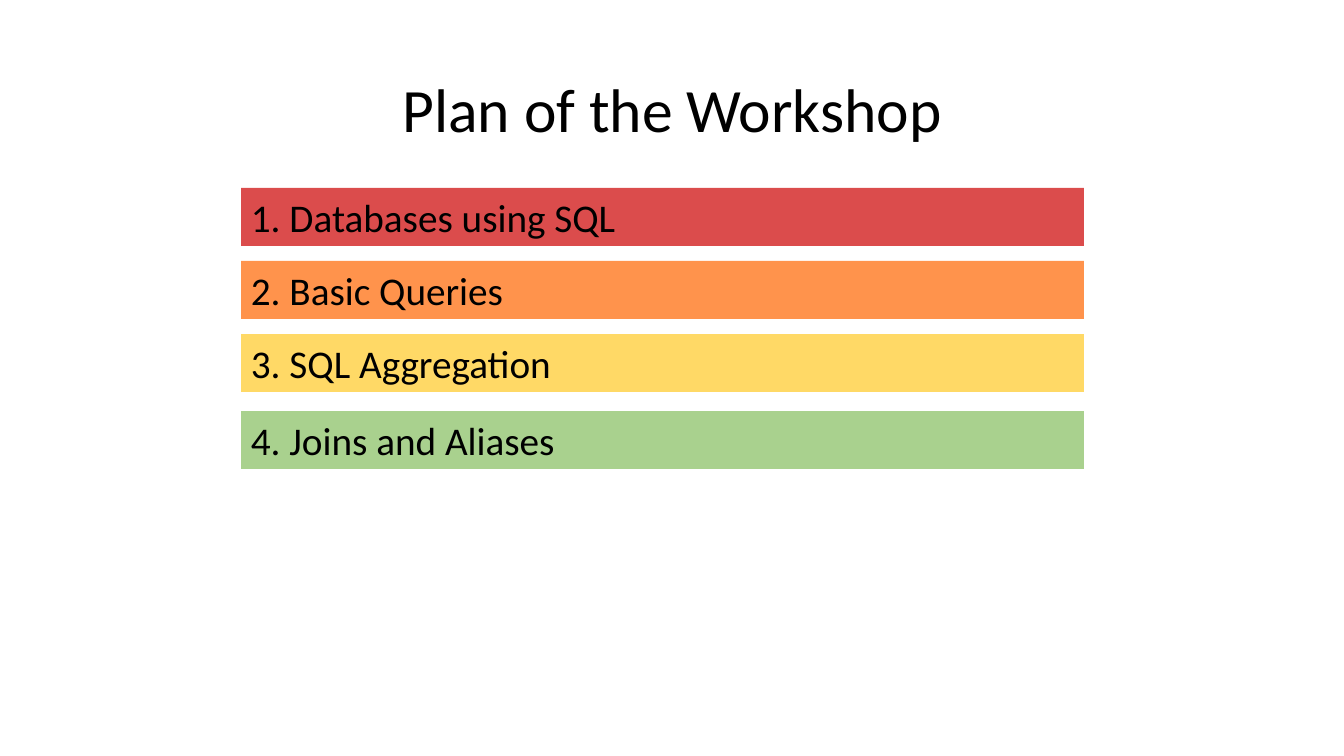
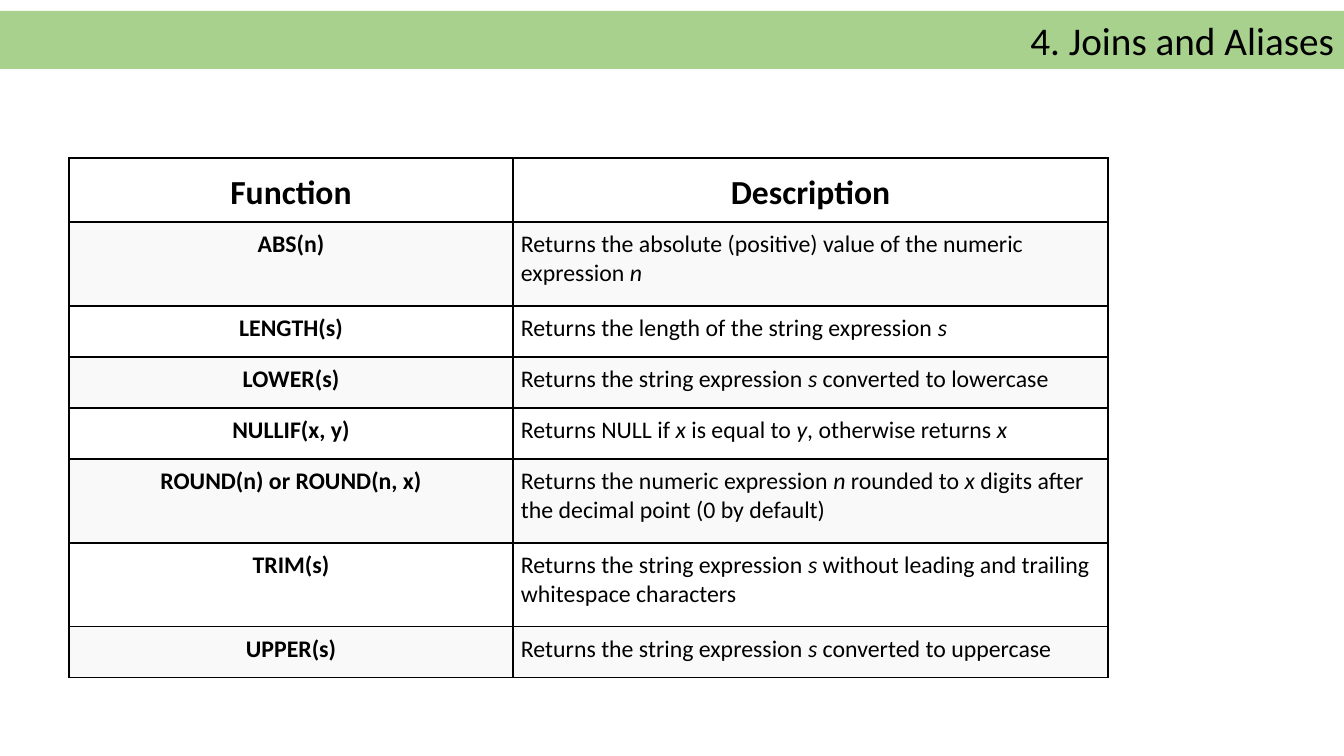
from pptx import Presentation
from pptx.dml.color import RGBColor
from pptx.enum.shapes import MSO_SHAPE
from pptx.enum.text import MSO_ANCHOR, MSO_AUTO_SIZE, PP_ALIGN
from pptx.oxml import parse_xml
from pptx.oxml.ns import nsdecls
from pptx.util import Pt
from lxml import etree

RECT = MSO_SHAPE.RECTANGLE
LEFT, MID, RIGHT = PP_ALIGN.LEFT, PP_ALIGN.CENTER, PP_ALIGN.RIGHT
TOP, CENTER, BASE = MSO_ANCHOR.TOP, MSO_ANCHOR.MIDDLE, MSO_ANCHOR.BOTTOM
FIXED = MSO_AUTO_SIZE.NONE

# Shared look
PX = 91440000 // 10080  # 100.8 px to the inch
FONT, BLACK, WHITE, GREY, GREEN = "Calibri", "000000", "FFFFFF", "F9F9F9", "A9D18E"
BAR = 58
JOINS = "4. Joins and Aliases"


def fill(obj, color, alpha=100):
    obj.fill.solid()
    obj.fill.fore_color.rgb = RGBColor.from_string(color)
    if alpha < 100:
        tint = obj.fill._xPr.find(".//{*}srgbClr")
        etree.SubElement(tint, tint.tag.replace("srgbClr", "alpha"), val=str(alpha * 1000))


def write(frame, text, size=28, align=LEFT, anchor=TOP, bold=False, space=1.0):
    """Write one paragraph; parts between asterisks are italic."""
    frame.word_wrap = True
    frame.vertical_anchor = anchor
    para = frame.paragraphs[0]
    para.alignment = align
    para.line_spacing = space
    for i, part in enumerate(text.split("*")):
        if part:
            run = para.add_run()
            run.text = part
            font = run.font
            font.name, font.size, font.bold = FONT, Pt(size), bold
            font.italic = i % 2 == 1
            font.color.rgb = RGBColor.from_string(BLACK)


deck = Presentation()
deck.slide_width, deck.slide_height = 1344 * PX, 756 * PX
layout = deck.slide_layouts[5]

# Slides and their titles
slides = []
for text, box, style in [
    ("Plan of the Workshop", (93, 40, 1159, 146),
     dict(size=44, align=MID, anchor=CENTER, space=0.9)),
    (JOINS, (0, 11, 1344, BAR), dict(align=RIGHT)),
]:
    slide = deck.slides.add_slide(layout)
    title = slide.shapes.title
    title.left, title.top, title.width, title.height = [v * PX for v in box]
    title.text_frame.auto_size = FIXED
    write(title.text_frame, text, **style)
    slides.append(slide)
plan, joins = slides
fill(joins.shapes.title, GREEN)

# Plan: one bar per part
for top, text, color, alpha in [
    (188, "1. Databases using SQL", "CC0000", 70),
    (261, "2. Basic Queries", "FF6600", 70),
    (334, "3. SQL Aggregation", "FFD966", 100),
    (411, JOINS, GREEN, 100),
]:
    bar = plan.shapes.add_shape(RECT, 241 * PX, top * PX, 843 * PX, BAR * PX)
    bar.shadow.inherit = False
    bar.line.fill.background()
    fill(bar, color, alpha)
    write(bar.text_frame, text)

# Joins: table of functions
rows = [
    (64, "Function", "Description"),
    (84, "ABS(n)", "Returns the absolute (positive) value of the numeric expression *n*"),
    (51, "LENGTH(s)", "Returns the length of the string expression *s*"),
    (51, "LOWER(s)", "Returns the string expression *s* converted to lowercase"),
    (51, "NULLIF(x, y)", "Returns NULL if *x* is equal to *y*, otherwise returns *x*"),
    (84, "ROUND(n) or ROUND(n, x)",
     "Returns the numeric expression *n* rounded to *x* digits after the decimal point (0 by default)"),
    (84, "TRIM(s)",
     "Returns the string expression *s* without leading and trailing whitespace characters"),
    (51, "UPPER(s)", "Returns the string expression *s* converted to uppercase"),
]
cols = (444, 595)
high = sum(row[0] for row in rows)
table = joins.shapes.add_table(
    len(rows), len(cols), 69 * PX, 158 * PX, sum(cols) * PX, high * PX).table
for col, width in zip(table.columns, cols):
    col.width = width * PX

for r, (height, *texts) in enumerate(rows):
    table.rows[r].height = height * PX
    head = r == 0
    for c, text in enumerate(texts):
        cell = table.cell(r, c)
        cell.margin_left = cell.margin_right = 8 * PX
        cell.margin_top = cell.margin_bottom = 8 * PX
        # Borders come before the fill in the cell's XML
        for side in "LRTB":
            cell._tc.get_or_add_tcPr().append(parse_xml(
                f'<a:ln{side} {nsdecls("a")} w="{Pt(1)}"><a:solidFill>'
                f'<a:srgbClr val="{BLACK}"/></a:solidFill></a:ln{side}>'))
        fill(cell, GREY if r % 2 else WHITE)
        name = head or c == 0
        write(cell.text_frame, text, size=24 if head else 17,
              align=MID if name else LEFT, bold=name)
        cell.vertical_anchor = BASE if head else TOP

deck.save("out.pptx")
